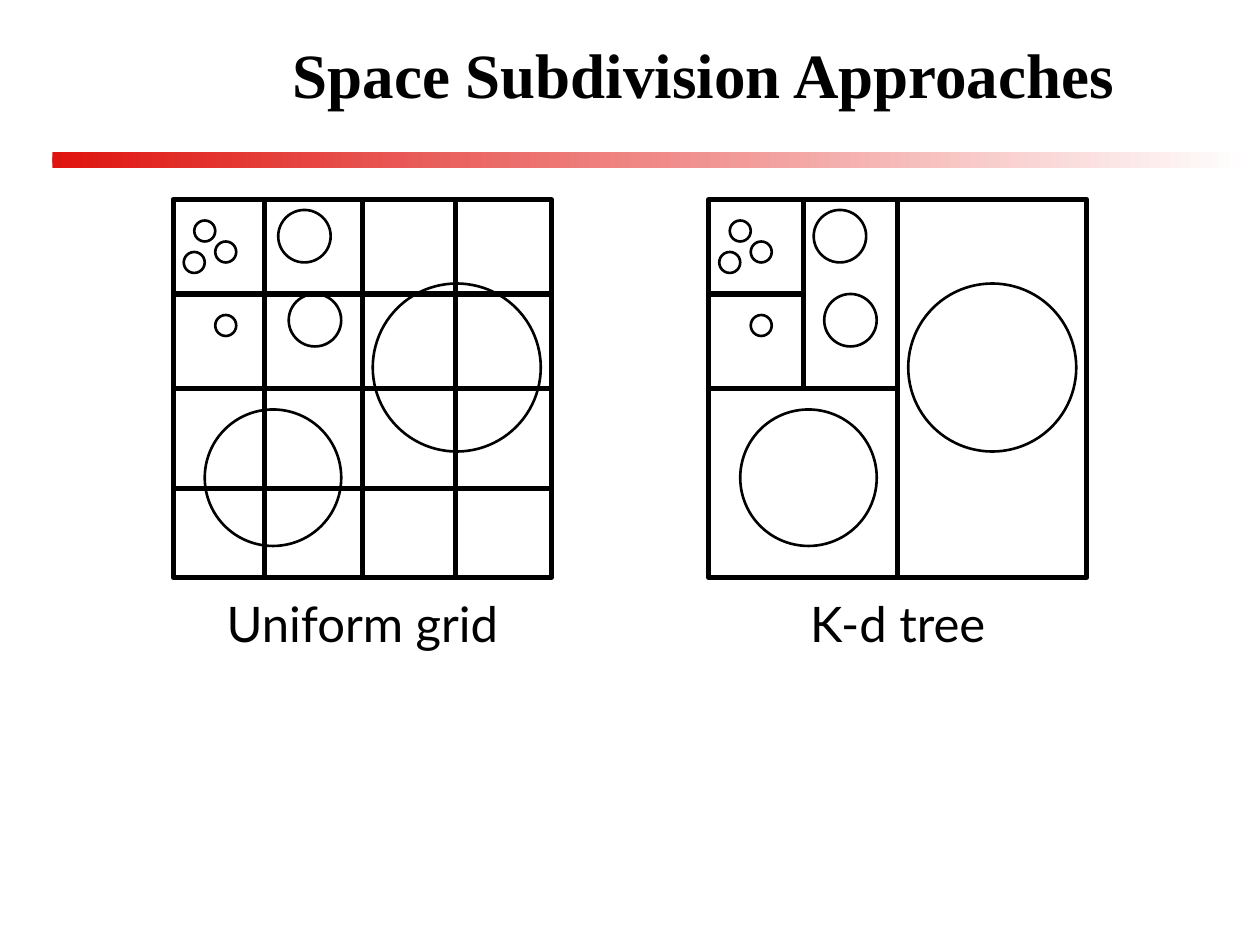
"""Build a slide comparing a uniform grid with a k-d tree."""
from typing import Any, NamedTuple

from lxml import etree
from pptx import Presentation
from pptx import util as u
from pptx.dml.color import RGBColor
from pptx.enum import shapes, text
from pptx.oxml import ns

COLORS = {"ink": "000000", "red": "DF140F", "white": "FFFFFF"}
SIDE, TOP = 216, 114
BORDER_WIDTH, CIRCLE_WIDTH = 3, 1.5


class Circle(NamedTuple):
    x: float
    y: float
    diameter: float


class Split(NamedTuple):
    x1: float
    y1: float
    x2: float
    y2: float


class Panel(NamedTuple):
    left: float
    caption: str
    caption_width: float
    splits: list[Split]


CIRCLES = [
    Circle(12, 12, 12), Circle(24, 24, 12), Circle(6, 30, 12), Circle(24, 66, 12),
    Circle(60, 6, 30), Circle(66, 54, 30), Circle(18, 120, 78), Circle(114, 48, 96),
]
GRID_SPLITS = [Split(x, 0, x, SIDE) for x in (52, 108, 161.5)] + [
    Split(0, y, SIDE, y) for y in (54, 108, 165)
]
TREE_SPLITS = [
    Split(108, 0, 108, SIDE), Split(0, 108, 108, 108),
    Split(54, 0, 54, 108), Split(0, 54, 54, 54),
]
PANELS = [
    Panel(99, "Uniform grid", 192, GRID_SPLITS),
    Panel(405, "K-d tree", 129, TREE_SPLITS),
]


def color(name: str) -> RGBColor:
    return RGBColor.from_string(COLORS[name])


def apply(target: Any, values: dict[str, Any]) -> None:
    for name, value in values.items():
        setattr(target, name, value)


def place(shape: Any, left: float, top: float, width: float, height: float) -> None:
    box = {"left": left, "top": top, "width": width, "height": height}
    apply(shape, {name: u.Pt(value) for name, value in box.items()})


def add_shape(parent: Any, kind: Any, left: float, top: float, width: float, height: float) -> Any:
    shape = parent.shapes.add_shape(kind, *map(u.Pt, (left, top, width, height)))
    shape.shadow.inherit = False
    return shape


def add_outline(parent: Any, kind: Any, left: float, top: float, size: float, weight: float) -> None:
    shape = add_shape(parent, kind, left, top, size, size)
    shape.fill.background()
    shape.line.color.rgb = color("ink")
    shape.line.width = u.Pt(weight)


def add_bar(slide: Any, top: float) -> None:
    bar = add_shape(slide, shapes.MSO_SHAPE.RECTANGLE, 30, top, 684, 6)
    bar.line.fill.background()
    bar.fill.gradient()
    bar.fill.gradient_angle = 0
    for stop, name in zip(bar.fill.gradient_stops, ("red", "white")):
        stop.color.rgb = color(name)


def add_split(slide: Any, left: float, split: Split) -> None:
    ends = (left + split.x1, TOP + split.y1, left + split.x2, TOP + split.y2)
    line = slide.shapes.add_connector(shapes.MSO_CONNECTOR.STRAIGHT, *map(u.Pt, ends))
    line.line.color.rgb = color("ink")
    line.line.width = u.Pt(BORDER_WIDTH)
    etree.SubElement(line._element.spPr, ns.qn("a:effectLst"))


def write(shape: Any, content: str, frame: dict[str, Any], font: dict[str, Any]) -> None:
    apply(shape.text_frame, {"auto_size": text.MSO_AUTO_SIZE.NONE, **frame})
    paragraph = shape.text_frame.paragraphs[0]
    paragraph.alignment = text.PP_ALIGN.CENTER
    run = paragraph.add_run()
    run.text = content
    apply(run.font, font)
    run.font.color.rgb = color("ink")


def add_panel(slide: Any, panel: Panel) -> None:
    add_outline(slide, shapes.MSO_SHAPE.RECTANGLE, panel.left, TOP, SIDE, BORDER_WIDTH)
    group = slide.shapes.add_group_shape()
    for circle in CIRCLES:
        add_outline(group, shapes.MSO_SHAPE.OVAL, panel.left + circle.x, TOP + circle.y,
                    circle.diameter, CIRCLE_WIDTH)
    for split in panel.splits:
        add_split(slide, panel.left, split)
    caption_left = panel.left + (SIDE - panel.caption_width) / 2
    caption = slide.shapes.add_textbox(
        *map(u.Pt, (caption_left, 335.5, panel.caption_width, 41)))
    write(caption, panel.caption, {"word_wrap": False}, {"name": "Lato", "size": u.Pt(28)})


def main() -> None:
    presentation = Presentation()
    apply(presentation, {"slide_width": u.Pt(720), "slide_height": u.Pt(540)})
    slide = presentation.slides.add_slide(presentation.slide_layouts.get_by_name("Title Only"))
    for top in (87, 90):
        add_bar(slide, top)
    title = slide.shapes.title
    place(title, 84, 12, 636, 60)
    write(title, "Space Subdivision Approaches",
          {"word_wrap": True, "vertical_anchor": text.MSO_ANCHOR.MIDDLE},
          {"name": "Times New Roman", "size": u.Pt(36), "bold": True})
    for panel in PANELS:
        add_panel(slide, panel)
    presentation.save("out.pptx")


if __name__ == "__main__":
    main()
